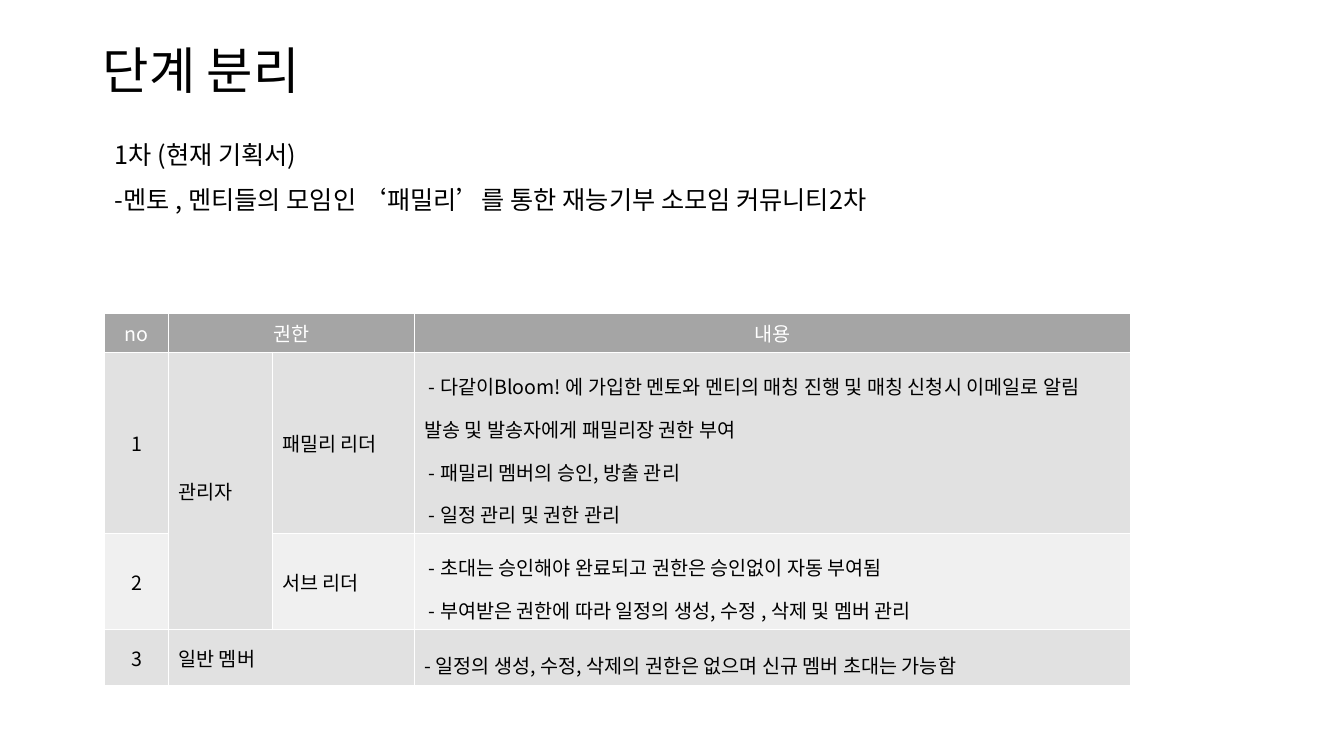
"""Build the slide on project phases and member permissions."""
from lxml import etree
from pptx import Presentation
from pptx.dml.color import RGBColor
from pptx.enum.text import MSO_ANCHOR, MSO_AUTO_SIZE, PP_ALIGN
from pptx.oxml.ns import qn
from pptx.util import Inches, Pt

MIDDLE, TOP = MSO_ANCHOR.MIDDLE, MSO_ANCHOR.TOP
CENTER, LEFT = PP_ALIGN.CENTER, PP_ALIGN.LEFT
FIT_SHAPE, NO_FIT = MSO_AUTO_SIZE.SHAPE_TO_FIT_TEXT, MSO_AUTO_SIZE.NONE

COLUMNS = [0.63, 1.03, 1.41, 7.1]
ROWS = [0.32, 1.43, 0.68, 0.56]
CELLS = [
    ["no", "권한", "", "내용"],
    ["1", "관리자", "패밀리 리더",
     " - 다같이Bloom! 에 가입한 멘토와 멘티의 매칭 진행 및 매칭 신청시 이메일로 알림 "
     "발송 및 발송자에게 패밀리장 권한 부여\n"
     " - 패밀리 멤버의 승인, 방출 관리\n"
     " - 일정 관리 및 권한 관리"],
    ["2", "", "서브 리더",
     " - 초대는 승인해야 완료되고 권한은 승인없이 자동 부여됨\n"
     " - 부여받은 권한에 따라 일정의 생성, 수정 , 삭제 및 멤버 관리"],
    ["3", "일반 멤버", "",
     "- 일정의 생성, 수정, 삭제의 권한은 없으며 신규 멤버 초대는 가능함"],
]
MERGES = [((0, 1), (0, 2)), ((1, 1), (2, 1)), ((3, 1), (3, 2))]


def rgb(value):
    return RGBColor.from_string(value)


class Deck:
    font = "Noto Sans CJK KR"
    dark, light = "000000", "FFFFFF"
    header, bands = "A5A5A5", ("F0F0F0", "E1E1E1")

    def __init__(self, prs):
        self.slide = prs.slides.add_slide(prs.slide_layouts[6])

    def fill_text(self, tf, text, size, color, align=LEFT, spacing=None):
        tf.text = text
        for p in tf.paragraphs:
            p.alignment = align
            p.line_spacing = spacing
            for r in p.runs:
                r.font.size = Pt(size)
                r.font.bold = False
                r.font.color.rgb = rgb(color)
                r.font.name = self.font
                ea = etree.SubElement(r._r.get_or_add_rPr(), qn("a:ea"))
                ea.set("typeface", self.font)

    def text(self, box, text, size, spacing, anchor=TOP, fit=NO_FIT):
        tf = self.slide.shapes.add_textbox(*map(Inches, box)).text_frame
        tf.word_wrap = True
        tf.auto_size = fit
        tf.vertical_anchor = anchor
        self.fill_text(tf, text, size, self.dark, spacing=spacing)

    def table(self, left, top, columns, rows, cells, merges):
        box = map(Inches, (left, top, sum(columns), sum(rows)))
        table = self.slide.shapes.add_table(len(rows), len(columns), *box).table
        for column, width in zip(table.columns, columns):
            column.width = Inches(width)
        for row, height in zip(table.rows, rows):
            row.height = Inches(height)
        for start, end in merges:
            table.cell(*start).merge(table.cell(*end))
        for i, line in enumerate(cells):
            for j, text in enumerate(line):
                cell = table.cell(i, j)
                cell.fill.solid()
                cell.fill.fore_color.rgb = rgb(self.bands[i % 2] if i else self.header)
                cell.vertical_anchor = MIDDLE
                if text:
                    self.fill_text(cell.text_frame, text, 14,
                                   self.dark if i else self.light,
                                   CENTER if i == 0 or j == 0 else LEFT,
                                   1.5 if i and j == 3 else None)


def main():
    prs = Presentation()
    prs.slide_width, prs.slide_height = Inches(13.33), Inches(7.5)
    deck = Deck(prs)
    deck.text((0.92, 0, 11.5, 1.45), "단계 분리", 36, 0.9, MIDDLE)
    deck.table(1.04, 3.11, COLUMNS, ROWS, CELLS, MERGES)
    deck.text((1.04, 1.18, 8.55, 0.95),
              "1차 (현재 기획서)\n"
              "-멘토 , 멘티들의 모임인 ‘패밀리’를 통한 재능기부 소모임 커뮤니티2차",
              18, 1.5, fit=FIT_SHAPE)
    prs.save("out.pptx")


if __name__ == "__main__":
    main()
